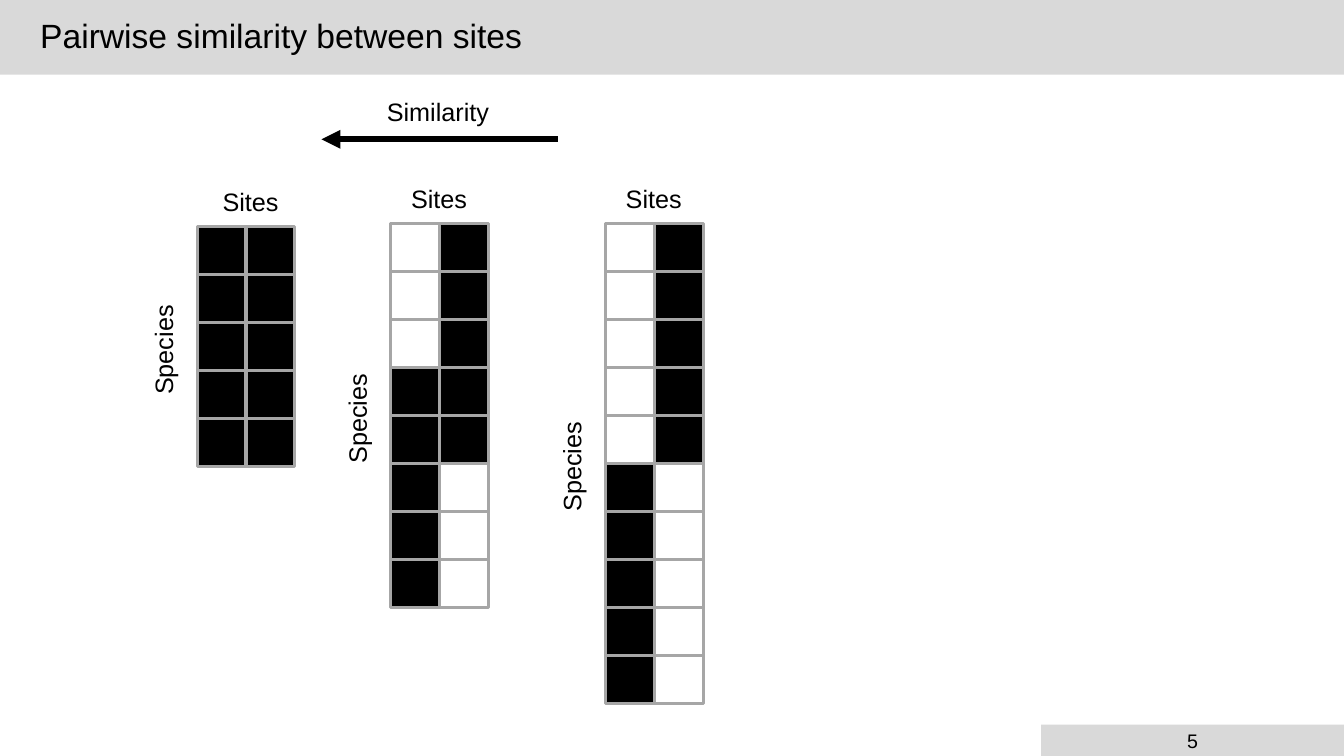
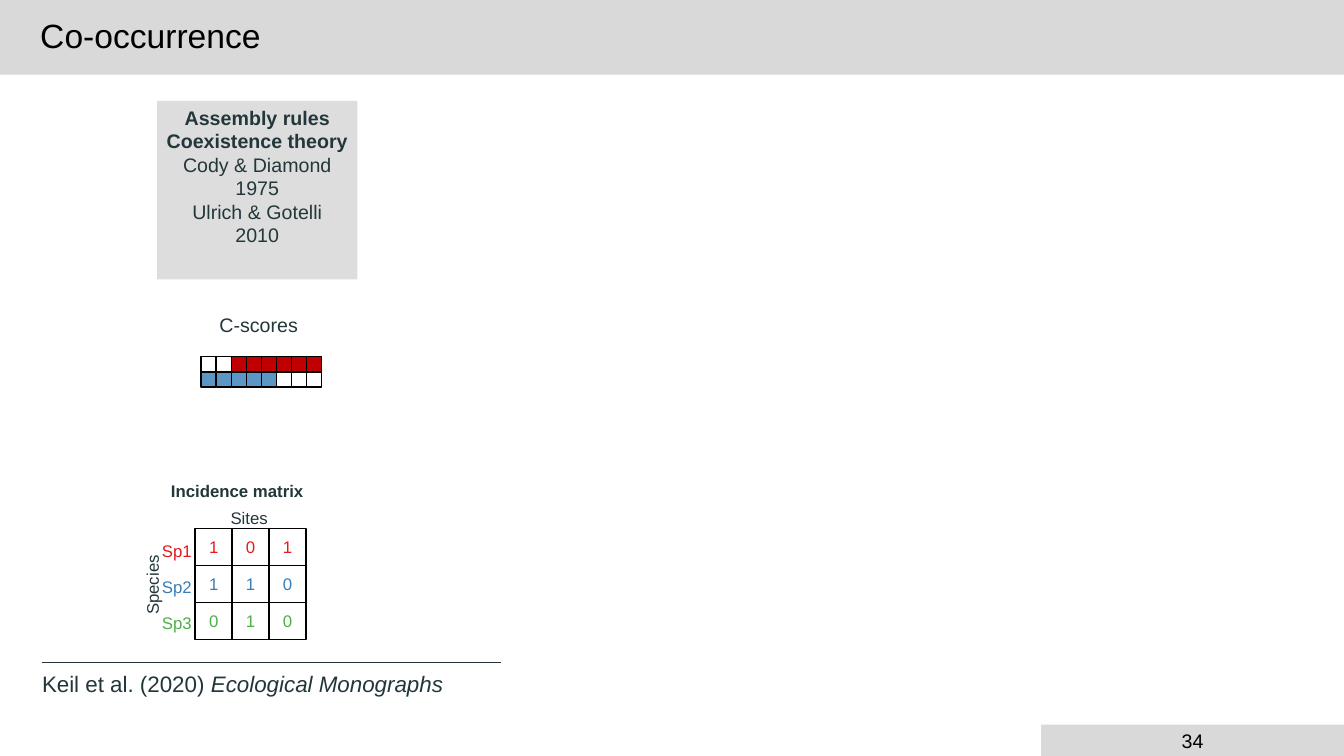
from dataclasses import dataclass

from lxml.etree import SubElement
from pptx import Presentation
from pptx.dml.color import RGBColor
from pptx.enum.shapes import MSO_CONNECTOR, MSO_SHAPE
from pptx.enum.text import MSO_ANCHOR, MSO_AUTO_SIZE, PP_ALIGN
from pptx.oxml.ns import qn
from pptx.util import Cm, Pt


@dataclass(frozen=True)
class Theme:
    font: str = "Arial"
    black: str = "000000"
    white: str = "FFFFFF"
    ink: str = "23373B"
    band: str = "D9D9D9"
    panel: str = "DDDDDD"
    grid: str = "A6A6A6"
    score_red: str = "C00000"
    score_blue: str = "5C96C5"
    species: tuple = ("E41A1C", "377EB8", "4DAF4A")
    title_size: int = 24
    label_size: int = 18
    citation_size: int = 16
    body_size: int = 14
    small_size: int = 12


@dataclass(frozen=True)
class Span:
    text: str
    bold: bool = False
    italic: bool = False


THEME = Theme()
WIDTH, HEIGHT = 33.87, 19.05


def color_of(value):
    return RGBColor.from_string(value)


def write(shape, *paragraphs, size, color=THEME.black, align=PP_ALIGN.LEFT,
          anchor=MSO_ANCHOR.TOP, wrap=True):
    """Fill a shape with paragraphs, each a string or a list of spans."""
    frame = shape.text_frame
    frame.auto_size = MSO_AUTO_SIZE.NONE
    frame.word_wrap = wrap
    frame.vertical_anchor = anchor
    for index, content in enumerate(paragraphs):
        para = frame.add_paragraph() if index else frame.paragraphs[0]
        para.alignment = align
        spans = [Span(content)] if isinstance(content, str) else content
        for span in spans:
            run = para.add_run()
            run.text = span.text
            run.font.name = THEME.font
            run.font.size = Pt(size)
            run.font.bold = span.bold
            run.font.italic = span.italic
            run.font.color.rgb = color_of(color)


class SlideBuilder:
    def __init__(self, deck):
        self.deck = deck
        self.page = None
        self.canvas = None

    def start_page(self, title, number):
        self.page = self.deck.slides.add_slide(self.deck.slide_layouts[5])
        self.canvas = self.page.shapes
        heading = self.page.shapes.title
        heading.left, heading.top = Cm(0), Cm(0)
        heading.width, heading.height = Cm(WIDTH), Cm(1.88)
        heading.fill.solid()
        heading.fill.fore_color.rgb = color_of(THEME.band)
        write(heading, title, size=THEME.title_size, anchor=MSO_ANCHOR.MIDDLE)
        para = heading.text_frame.paragraphs[0]
        para.line_spacing = 0.9
        properties = para._p.get_or_add_pPr()
        properties.set("marL", str(Cm(0.76)))
        properties.set("indent", "0")
        footer = self.rectangle(26.24, 18.26, 7.63, 0.79, THEME.band)
        write(footer, str(number), size=THEME.body_size,
              align=PP_ALIGN.CENTER, anchor=MSO_ANCHOR.MIDDLE)

    def start_group(self):
        """Place the elements that follow in a new group."""
        self.canvas = self.page.shapes.add_group_shape().shapes

    def end_group(self):
        self.canvas = self.page.shapes

    def rectangle(self, left, top, width, height, fill, outline=None, weight=1):
        box = self.canvas.add_shape(
            MSO_SHAPE.RECTANGLE, Cm(left), Cm(top), Cm(width), Cm(height))
        box.shadow.inherit = False
        box.fill.solid()
        box.fill.fore_color.rgb = color_of(fill)
        if outline:
            box.line.color.rgb = color_of(outline)
            box.line.width = Pt(weight)
        else:
            box.line.fill.background()
        return box

    def label(self, left, top, width, height, *paragraphs, rotation=0, **style):
        box = self.canvas.add_textbox(Cm(left), Cm(top), Cm(width), Cm(height))
        box.rotation = rotation
        write(box, *paragraphs, **style)

    def line(self, start, end, y, color, weight, arrow=False):
        connector = self.canvas.add_connector(
            MSO_CONNECTOR.STRAIGHT, Cm(start), Cm(y), Cm(end), Cm(y))
        connector.line.color.rgb = color_of(color)
        connector.line.width = Pt(weight)
        properties = connector.element.spPr
        if arrow:
            SubElement(properties.find(qn("a:ln")), qn("a:tailEnd"), type="triangle")
        SubElement(properties, qn("a:effectLst"))

    def cells(self, left, top, width, height, fills, outline, weight):
        """Draw a grid from rows of fill colours and return its rows of boxes."""
        return [
            [self.rectangle(left + column * width, top + row * height,
                            width, height, fill, outline, weight)
             for column, fill in enumerate(row_fills)]
            for row, row_fills in enumerate(fills)
        ]

    def site_matrix(self, left, top, rows, sites_shift=0):
        """Draw a two-site presence matrix with its axis labels."""
        cell_width, cell_height = 1.23, 1.21
        fills = [[THEME.black if mark == "1" else THEME.white for mark in row]
                 for row in rows]
        style = dict(size=THEME.label_size, wrap=False)
        middle = top + len(rows) * cell_height / 2
        self.start_group()
        self.cells(left, top, cell_width, cell_height, fills, THEME.grid, 2.25)
        self.label(left + cell_width - 0.97 + sites_shift, top - 1.13,
                   1.93, 1.02, "Sites", **style)
        self.label(left - 2.25, middle - 0.44, 2.79, 1.02, "Species",
                   rotation=270, **style)
        self.end_group()

    def score_panel(self):
        self.start_group()
        panel = self.rectangle(3.96, 2.54, 5.05, 4.5, THEME.panel)
        write(panel, [Span("Assembly rules", bold=True)],
              [Span("Coexistence theory", bold=True)],
              "Cody & Diamond", "1975", "Ulrich & Gotelli", "2010",
              size=THEME.body_size, color=THEME.ink, align=PP_ALIGN.CENTER,
              wrap=False)
        self.label(5.28, 7.75, 2.72, 0.97, "C-scores",
                   size=THEME.body_size, color=THEME.ink)
        fills = [[THEME.white] * 2 + [THEME.score_red] * 6,
                 [THEME.score_blue] * 5 + [THEME.white] * 3]
        self.cells(5.07, 8.99, 0.38, 0.38, fills, THEME.black, 1)
        self.end_group()

    def incidence_matrix(self):
        left, top, side = 4.92, 13.32, 0.93
        values = ["101", "110", "010"]
        self.start_group()
        boxes = self.cells(left, top, side, side, [[THEME.white] * 3] * 3,
                           THEME.black, 1)
        for index, color in enumerate(THEME.species):
            for box, value in zip(boxes[index], values[index]):
                write(box, value, size=THEME.small_size, color=color,
                      align=PP_ALIGN.CENTER, anchor=MSO_ANCHOR.MIDDLE, wrap=False)
            self.label(3.83, 13.49 + index * 0.91, 1.4, 1.19, f"Sp{index + 1}",
                       size=THEME.small_size, color=color)
        style = dict(size=THEME.small_size, color=THEME.ink)
        self.label(5.56, 12.67, 1.5, 0.74, "Sites", **style)
        self.label(2.92, 14.02, 2.26, 1.19, "Species", rotation=270, **style)
        self.label(4.06, 11.99, 4.01, 0.74,
                   [Span("Incidence matrix", bold=True)], **style)
        self.end_group()


def build_similarity(builder):
    builder.start_page("Pairwise similarity between sites", 5)
    builder.site_matrix(9.85, 5.63, ["01"] * 3 + ["11"] * 2 + ["10"] * 3)
    builder.site_matrix(15.26, 5.63, ["01"] * 5 + ["10"] * 5)
    builder.site_matrix(4.97, 5.71, ["11"] * 5, sites_shift=0.13)
    builder.line(14.05, 8.1, 3.51, THEME.black, 4.5, arrow=True)
    builder.label(9.5, 2.31, 3.12, 1.02, "Similarity",
                  size=THEME.label_size, wrap=False)


def build_cooccurrence(builder):
    builder.start_page("Co-occurrence", 34)
    builder.label(0.81, 16.76, 17.73, 0.91,
                  [Span("Keil et al. (2020) "),
                   Span("Ecological Monographs", italic=True)],
                  size=THEME.citation_size, color=THEME.ink)
    builder.line(1.07, 12.62, 16.69, THEME.ink, 1)
    builder.incidence_matrix()
    builder.score_panel()


def main():
    deck = Presentation()
    deck.slide_width, deck.slide_height = Cm(WIDTH), Cm(HEIGHT)
    builder = SlideBuilder(deck)
    build_similarity(builder)
    build_cooccurrence(builder)
    deck.save("out.pptx")


if __name__ == "__main__":
    main()
